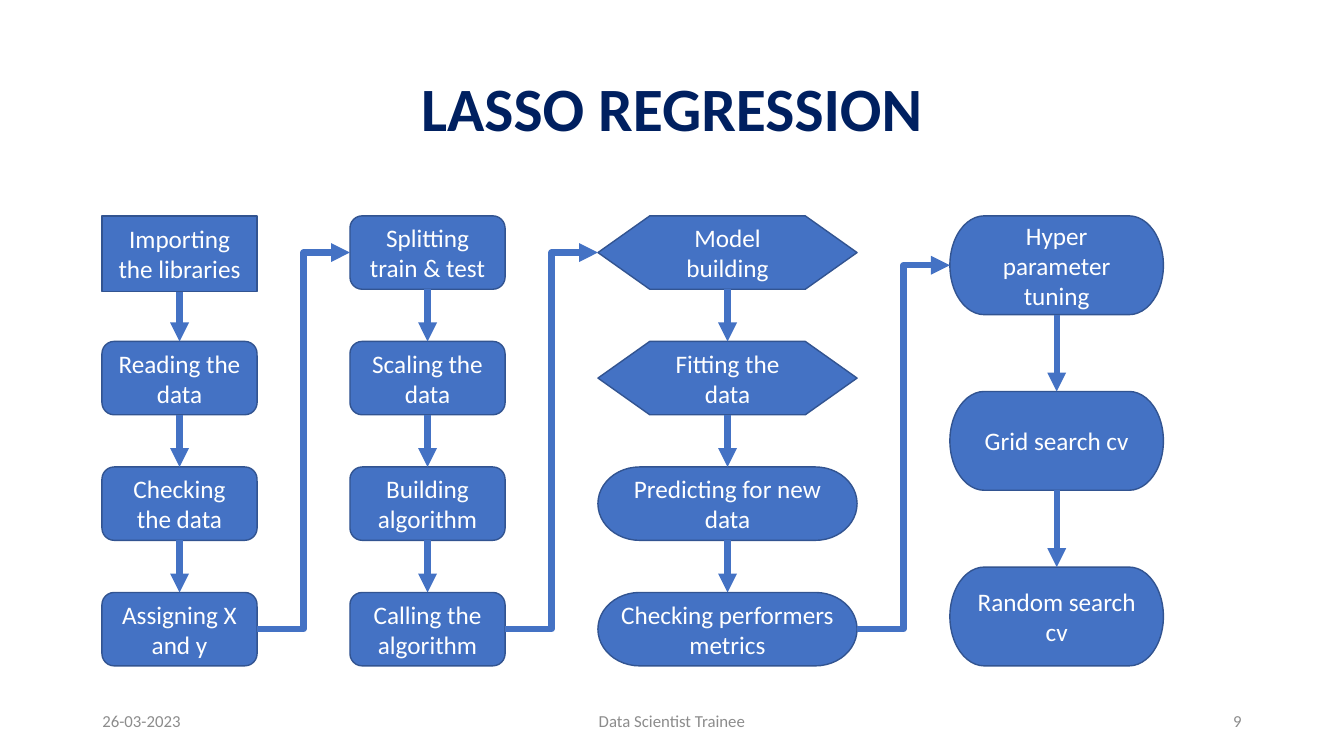
from lxml import etree
from pptx import Presentation
from pptx.dml.color import RGBColor
from pptx.enum.shapes import MSO_CONNECTOR as CONN, MSO_SHAPE as SHAPE
from pptx.enum.text import MSO_ANCHOR as ANCHOR, PP_ALIGN as ALIGN
from pptx.oxml.ns import qn
from pptx.util import Cm, Pt

COLORS = {"title": "002060", "box": "4472C4", "outline": "325491",
          "label": "FFFFFF", "footer": "8C8C8C"}
TITLE = {"size": Pt(44), "bold": True, "name": "Calibri"}
LABEL = {"size": Pt(18), "name": "Calibri"}
FOOTER = {"size": Pt(12), "name": "Calibri"}

# Column layout in centimetres
LEFT, TOP, BOTTOM, GAP = 2.57, 5.44, 16.78, 2.34
PROCESS = SHAPE.FLOWCHART_PROCESS
STEP = SHAPE.FLOWCHART_ALTERNATE_PROCESS
PREPARE = SHAPE.FLOWCHART_PREPARATION
ROUND = SHAPE.FLOWCHART_TERMINATOR

# Each column: width, box height, steps from top to bottom
COLUMNS = [
    (3.91, 1.85, [(PROCESS, "Importing the libraries"), (STEP, "Reading the data"),
                  (STEP, "Checking the data"), (STEP, "Assigning X and y")]),
    (3.91, 1.85, [(STEP, "Splitting train & test"), (STEP, "Scaling the data"),
                  (STEP, "Building algorithm"), (STEP, "Calling the algorithm")]),
    (6.53, 1.85, [(PREPARE, "Model building"), (PREPARE, "Fitting the data"),
                  (ROUND, "Predicting for new data"),
                  (ROUND, "Checking performers metrics")]),
    (5.38, 2.49, [(ROUND, "Hyper parameter\ntuning"), (ROUND, "Grid search cv"),
                  (ROUND, "Random search cv")]),
]
FOOTERS = [(2.33, 7.62, "26-03-2023", ALIGN.LEFT),
           (11.22, 11.43, "Data Scientist Trainee", ALIGN.CENTER),
           (23.92, 7.62, "9", ALIGN.RIGHT)]

# Connection sites of the flowchart shapes
TOP_SITE, LEFT_SITE, BOTTOM_SITE, RIGHT_SITE = range(4)


def color(name):
    return RGBColor.from_string(COLORS[name])


def write(sp, text, font, color_name, align):
    tf = sp.text_frame
    tf.text = text
    tf.word_wrap = True
    tf.vertical_anchor = ANCHOR.MIDDLE
    for p in tf.paragraphs:
        p.alignment = align
        for r in p.runs:
            for key, value in font.items():
                setattr(r.font, key, value)
            r.font.color.rgb = color(color_name)
    return tf


def add_title(s, text):
    sp = s.shapes.title
    sp.left, sp.top, sp.width, sp.height = Cm(2.33), Cm(0.97), Cm(29.21), Cm(3.68)
    tf = write(sp, text, TITLE, "title", ALIGN.CENTER)
    tf.paragraphs[0].line_spacing = 0.9


def add_box(s, kind, text, x, y, w, h):
    sp = s.shapes.add_shape(kind, Cm(x), Cm(y), Cm(w), Cm(h))
    sp.shadow.inherit = False
    sp.fill.solid()
    sp.fill.fore_color.rgb = color("box")
    sp.line.color.rgb = color("outline")
    sp.line.width = Pt(1)
    write(sp, text, LABEL, "label", ALIGN.CENTER)
    return sp


def add_arrow(s, kind, start, start_site, end, end_site):
    line = s.shapes.add_connector(kind, 0, 0, 0, 0)
    line.begin_connect(start, start_site)
    line.end_connect(end, end_site)
    line.line.color.rgb = color("box")
    line.line.width = Pt(4.5)
    etree.SubElement(line.line._get_or_add_ln(), qn("a:tailEnd"), type="triangle")
    etree.SubElement(line._element.spPr, qn("a:effectLst"))


def add_column(s, x, w, h, steps):
    pitch = (BOTTOM - TOP - h) / (len(steps) - 1)
    boxes = []
    for i, (kind, text) in enumerate(steps):
        height = 1.91 if kind == PROCESS else h
        boxes.append(add_box(s, kind, text, x, TOP + i * pitch, w, height))
    for upper, lower in zip(boxes, boxes[1:]):
        add_arrow(s, CONN.STRAIGHT, upper, BOTTOM_SITE, lower, TOP_SITE)
    return boxes


def add_footer(s, x, w, text, align):
    sp = s.shapes.add_textbox(Cm(x), Cm(17.65), Cm(w), Cm(1.02))
    write(sp, text, FOOTER, "footer", align)


def main():
    prs = Presentation()
    prs.slide_width, prs.slide_height = Cm(33.87), Cm(19.05)
    s = prs.slides.add_slide(prs.slide_layouts[5])
    add_title(s, "LASSO REGRESSION")

    # Flowchart columns, evenly spaced
    x, columns = LEFT, []
    for w, h, steps in COLUMNS:
        columns.append(add_column(s, x, w, h, steps))
        x += w + GAP

    # Bent arrows from the foot of one column to the head of the next
    for before, after in zip(columns, columns[1:]):
        add_arrow(s, CONN.ELBOW, before[-1], RIGHT_SITE, after[0], LEFT_SITE)

    # Footer line
    for footer in FOOTERS:
        add_footer(s, *footer)
    prs.save("out.pptx")


if __name__ == "__main__":
    main()
